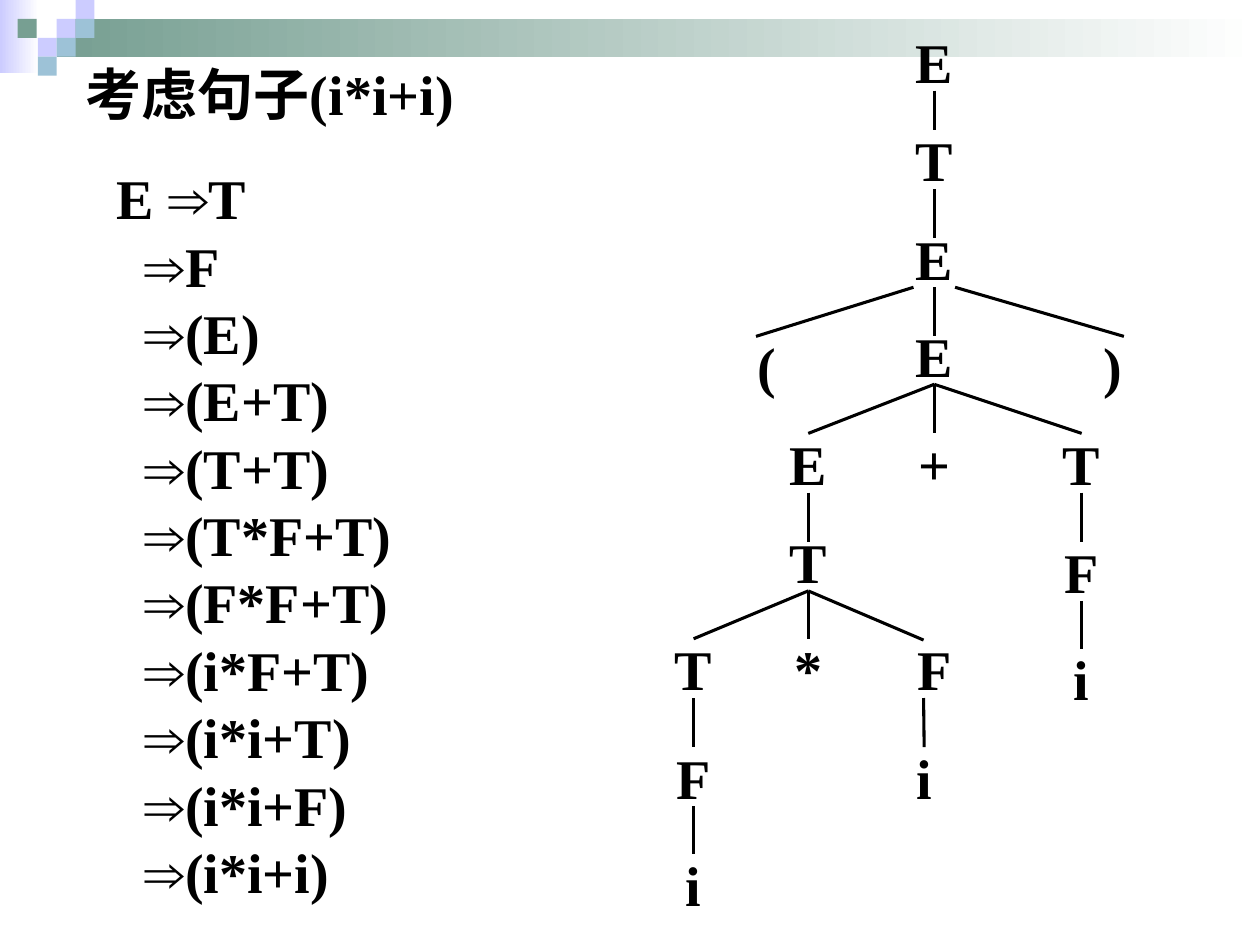
from lxml import etree
from pptx import Presentation
from pptx.dml.color import RGBColor
from pptx.enum.shapes import MSO_CONNECTOR, MSO_SHAPE
from pptx.enum.text import MSO_ANCHOR, MSO_AUTO_SIZE, PP_ALIGN
from pptx.oxml.ns import qn
from pptx.util import Inches, Pt

LINE, RECT = MSO_CONNECTOR.STRAIGHT, MSO_SHAPE.RECTANGLE
TOP, MIDDLE = MSO_ANCHOR.TOP, MSO_ANCHOR.MIDDLE
LEFT, CENTER = PP_ALIGN.LEFT, PP_ALIGN.CENTER
NO_FIT = MSO_AUTO_SIZE.NONE
TITLE_ONLY = 5
ARROW = "⇒"
NODE_W, NODE_H, DROP = 0.67, 0.47, 0.39
COLORS = {"ink": "000000", "lilac": "CCCCFF", "green": "779F92",
          "blue": "9DC2D7", "white": "FFFFFF"}

# name: (label, left, top)
NODES = {
    "root": ("E", 7.08, 0.25), "term": ("T", 7.08, 1.03),
    "group": ("E", 7.08, 1.81), "open": ("(", 5.75, 2.66),
    "sum": ("E", 7.08, 2.58), "close": (")", 8.5, 2.66),
    "left": ("E", 6.08, 3.44), "plus": ("+", 7.08, 3.44),
    "right": ("T", 8.25, 3.44), "prod": ("T", 6.08, 4.22),
    "right F": ("F", 8.25, 4.3), "right i": ("i", 8.25, 5.15),
    "first": ("T", 5.17, 5.07), "times": ("*", 6.08, 5.07),
    "second": ("F", 7.08, 5.07), "first F": ("F", 5.17, 5.93),
    "first i": ("i", 5.17, 6.78), "second i": ("i", 7, 5.93),
}
# parent, child, and whatever departs from a straight centre-to-centre branch
EDGES = [
    ("root", "term", {"drop": 0.31}), ("term", "group", {}),
    ("group", "sum", {}),
    ("group", "open", {"start": 7.25, "end": 6}),
    ("group", "close", {"start": 7.58, "end": 8.92}),
    ("sum", "left", {}), ("sum", "plus", {}), ("sum", "right", {}),
    ("left", "prod", {}), ("right", "right F", {}),
    ("right F", "right i", {}),
    ("prod", "first", {}), ("prod", "times", {}),
    ("prod", "second", {"end": 7.33}),
    ("first", "first F", {}), ("first F", "first i", {}),
    ("second", "second i", {"start": 7.33}),
]
STEPS = ["T", "F", "(E)", "(E+T)", "(T+T)", "(T*F+T)", "(F*F+T)",
         "(i*F+T)", "(i*i+T)", "(i*i+F)", "(i*i+i)"]
# left, top, colour
TILES = [(0.45, 0.15, "lilac"), (0.6, 0, "lilac"), (0.6, 0.15, "blue"),
         (0.3, 0.3, "lilac"), (0.14, 0.15, "green"), (0.45, 0.3, "blue"),
         (0.3, 0.45, "blue")]


def tint(name):
    return RGBColor.from_string(COLORS[name])


class Deck:
    """Holds the text style and the current slide."""

    def __init__(self, slide, font="Times New Roman", sign="Arial", size=32):
        self.slide, self.shapes = slide, slide.shapes
        self.font, self.sign, self.size = font, sign, size

    def put(self, frame, lines, align=LEFT, anchor=TOP, wrap=True,
            hang=0, pitch=None):
        """Fill a frame; lines after the first are indented by hang."""
        frame.auto_size, frame.word_wrap = NO_FIT, wrap
        frame.vertical_anchor = anchor
        for row, line in enumerate(lines):
            para = frame.add_paragraph() if row else frame.paragraphs[0]
            para.alignment = align
            if pitch:
                para.line_spacing = Pt(pitch)
            if row and hang:
                props = para._p.get_or_add_pPr()
                props.set("marL", str(Inches(hang)))
                props.set("indent", "0")
            for part in filter(None, line.partition(ARROW)):
                run = para.add_run()
                run.text = part
                run.font.name = self.sign if part == ARROW else self.font
                run.font.size, run.font.bold = Pt(self.size), True
                run.font.color.rgb = tint("ink")

    def title(self, text, *box):
        shape = self.shapes.title
        shape.left, shape.top, shape.width, shape.height = map(Inches, box)
        self.put(shape.text_frame, [text])
        self.shapes._spTree.append(shape._element)

    def text(self, lines, *box, **style):
        shape = self.shapes.add_textbox(*map(Inches, box))
        self.put(shape.text_frame, lines, **style)
        return shape

    def block(self, color, *box, fade=False):
        shape = self.shapes.add_shape(RECT, *map(Inches, box))
        shape.shadow.inherit = False
        shape.line.fill.background()
        if fade:
            shape.fill.gradient()
            shape.fill.gradient_angle = 0
            for stop, name in zip(shape.fill.gradient_stops, (color, "white")):
                stop.color.rgb = tint(name)
        else:
            shape.fill.solid()
            shape.fill.fore_color.rgb = tint(color)

    def node(self, label, left, top):
        return self.text([label], left, top, NODE_W, NODE_H, align=CENTER,
                         anchor=MIDDLE, wrap=False)

    def branch(self, parent, child, start=None, end=None, drop=DROP):
        """Draw a line below parent, joined wherever it meets a node's side."""
        y = parent.top + parent.height
        foot = y + Inches(drop)
        x1 = Inches(start) if start else parent.left + parent.width // 2
        x2 = Inches(end) if end else child.left + child.width // 2
        line = self.shapes.add_connector(LINE, x1, y, x2, foot)
        line.line.color.rgb, line.line.width = tint("ink"), Pt(1.75)
        etree.SubElement(line._element.spPr, qn("a:effectLst"))
        if not start:
            line.begin_connect(parent, 2)
        if not end and abs(child.top - foot) < Inches(0.03):
            line.end_connect(child, 0)


def main():
    show = Presentation()
    show.slide_width, show.slide_height = Inches(10), Inches(7.5)
    deck = Deck(show.slides.add_slide(show.slide_layouts[TITLE_ONLY]))

    deck.block("lilac", 0, 0, 0.31, 0.58, fade=True)
    deck.block("green", 0.45, 0.15, 9.55, 0.3, fade=True)
    for left, top, color in TILES:
        deck.block(color, left, top, 0.15, 0.15)

    tree = {name: deck.node(*spot) for name, spot in NODES.items()}
    for parent, child, shift in EDGES:
        deck.branch(tree[parent], tree[child], **shift)

    lines = [("" if row else "E ") + ARROW + step
             for row, step in enumerate(STEPS)]
    deck.text(lines, 0.83, 1.25, 3.5, 5.83, hang=0.22, pitch=38.5)
    deck.title("考虑句子(i*i+i)", 0.58, 0.42, 4.08, 0.75)
    show.save("out.pptx")


if __name__ == "__main__":
    main()
